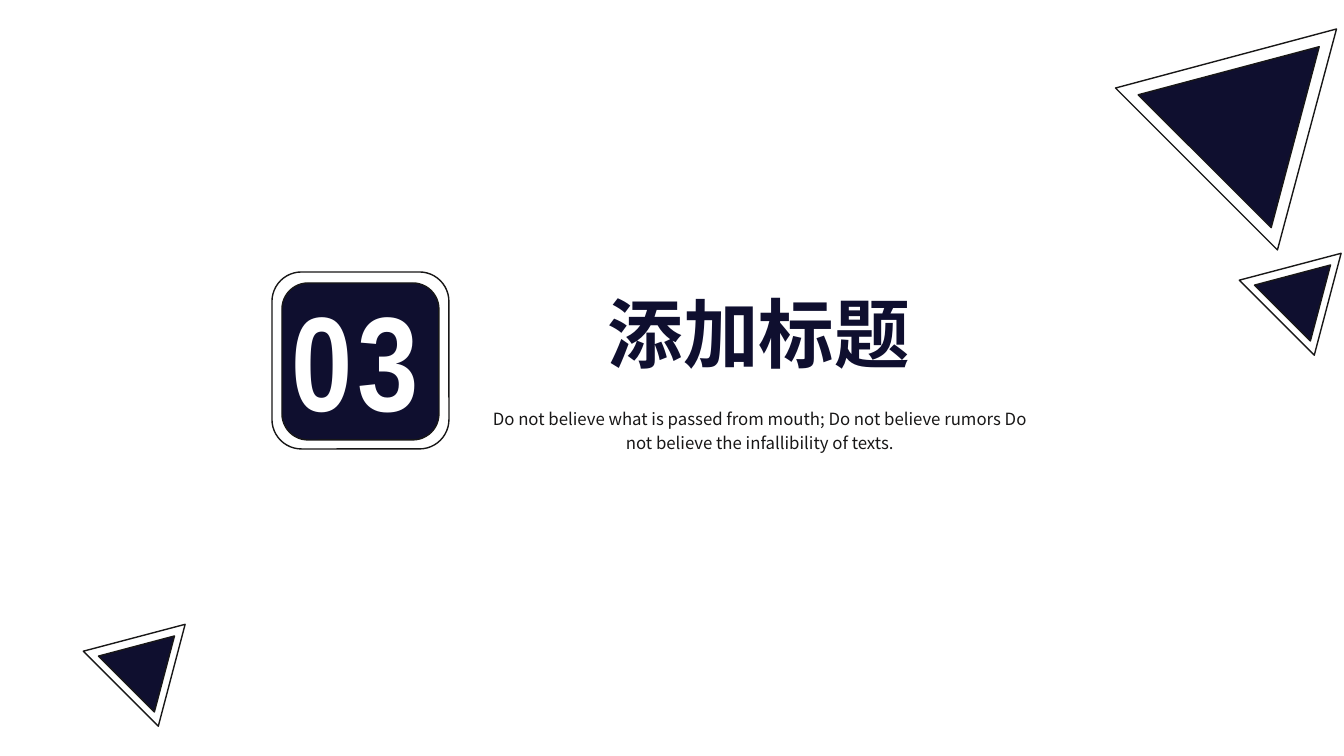
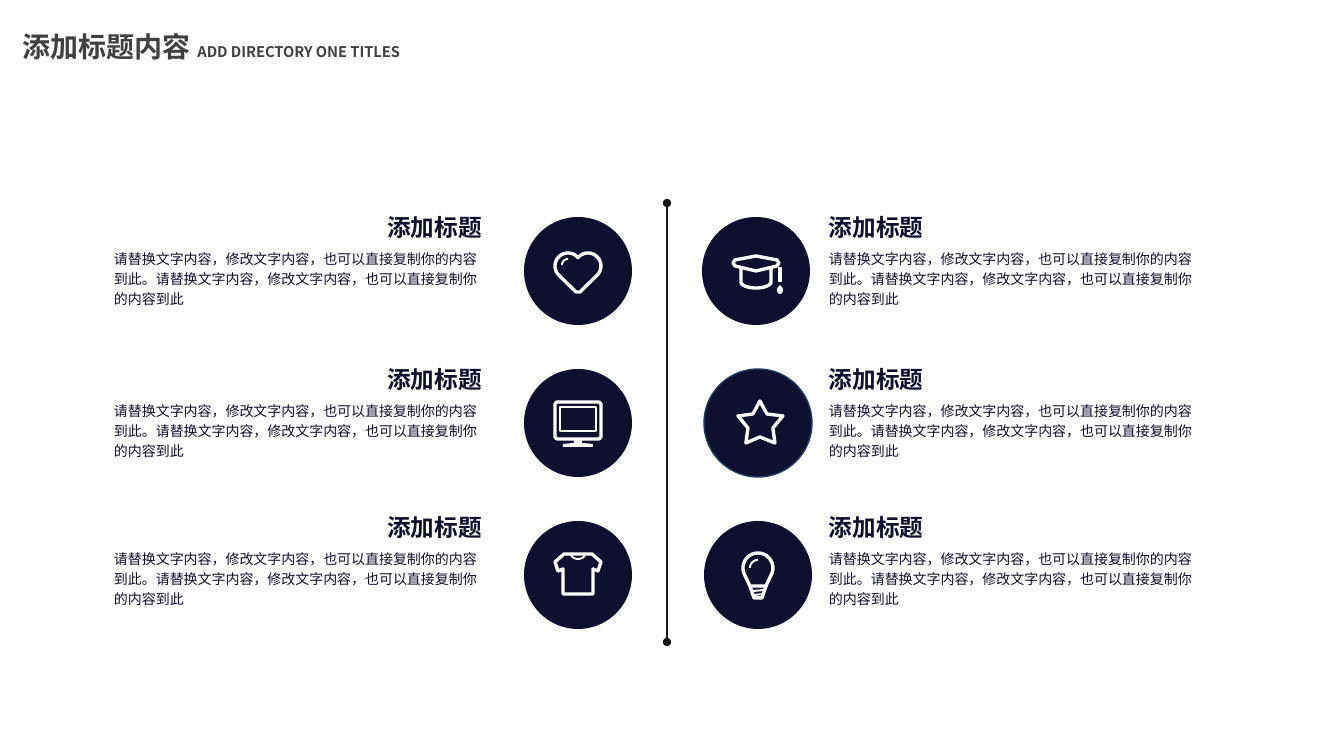
"""Build a section divider slide and a six-item icon slide."""
import math
from dataclasses import dataclass

from lxml import etree
from pptx import Presentation
from pptx import util as u
from pptx.dml.color import RGBColor
from pptx.enum import shapes, text
from pptx.oxml.ns import qn

PX = u.Inches(1) / 100.8


@dataclass(frozen=True)
class Theme:
    navy: str = "0F0F2F"
    ink: str = "181717"
    grey: str = "404040"
    rim: str = "1F3B65"
    white: str = "FFFFFF"
    font: str = "Noto Sans CJK SC"
    number_font: str = "Arial Narrow"
    number: float = 96
    section: float = 54
    header: float = 20
    label: float = 16.9
    caption: float = 12
    subheader: float = 10.5
    body: float = 10
    hairline: float = 1
    axis: float = 1.5


theme = Theme()
LEFT, CENTER, RIGHT = text.PP_ALIGN.LEFT, text.PP_ALIGN.CENTER, text.PP_ALIGN.RIGHT


def paint(shape, fill=None, line=None, width=theme.hairline):
    shape.shadow.inherit = False
    if fill:
        shape.fill.solid()
        shape.fill.fore_color.rgb = RGBColor.from_string(fill)
    else:
        shape.fill.background()
    if line:
        shape.line.color.rgb = RGBColor.from_string(line)
        shape.line.width = u.Pt(width)
    else:
        shape.line.fill.background()


def write(shape, box, runs, color, align=LEFT, bold=False, wrap=True,
          spacing=1.0, inset=10, font=theme.font):
    shape.left, shape.top, shape.width, shape.height = (round(n * PX) for n in box)
    frame = shape.text_frame
    frame.auto_size = text.MSO_AUTO_SIZE.NONE
    frame.vertical_anchor = text.MSO_ANCHOR.TOP
    frame.word_wrap = wrap
    frame.margin_left = frame.margin_right = round(inset * PX)
    frame.margin_top = frame.margin_bottom = round(5 * PX)
    paragraph = frame.paragraphs[0]
    paragraph.alignment = align
    paragraph.line_spacing = spacing
    paragraph.space_before = u.Pt(0)
    for words, size in runs:
        run = paragraph.add_run()
        run.text = words
        run.font.size = u.Pt(size)
        run.font.bold = bold
        run.font.name = font
        run.font.color.rgb = RGBColor.from_string(color)
        properties = run.font._element
        etree.SubElement(properties, qn("a:ea")).set("typeface", font)


presentation = Presentation()
presentation.slide_width = round(1344 * PX)
presentation.slide_height = round(756 * PX)

slide = presentation.slides.add_slide(presentation.slide_layouts[0])
OUTLINED = (None, theme.ink)
FILLED = (theme.navy, theme.ink)
ROUNDED = shapes.MSO_SHAPE.ROUNDED_RECTANGLE
TRIANGLE = shapes.MSO_SHAPE.ISOSCELES_TRIANGLE
decorations = [
    (ROUNDED, (282, 283, 157, 157), FILLED),
    (ROUNDED, (272, 272, 177, 177), OUTLINED),
    (TRIANGLE, (1168, 23, 188, 162), FILLED),
    (TRIANGLE, (1152, 0, 229, 198), OUTLINED),
]
for left, top in [(1256, 240), (100, 611)]:
    decorations += [
        (TRIANGLE, (left + 11, top + 15, 79, 68), FILLED),
        (TRIANGLE, (left, top, 106, 91), OUTLINED),
    ]
for kind, box, look in decorations:
    shape = slide.shapes.add_shape(kind, *(round(n * PX) for n in box))
    shape.rotation = 45 if kind == TRIANGLE else 0
    paint(shape, *look)

number = slide.shapes.add_textbox(0, 0, 0, 0)
write(number, (282, 272, 162, 173), [("03", theme.number)], theme.white,
      bold=True, font=theme.number_font)
number.text_frame.paragraphs[0].runs[0].font._element.set("spc", "300")
write(slide.shapes.title, (596, 282, 326, 102), [("添加标题", theme.section)],
      theme.navy, CENTER, bold=True, wrap=False)
write(slide.placeholders[1], (469, 400, 582, 59),
      [("Do not believe what is passed from mouth; Do not believe rumors "
        "Do not believe the infallibility of texts.", theme.caption)],
      theme.ink, CENTER, spacing=1.2)

slide = presentation.slides.add_slide(presentation.slide_layouts[5])
write(slide.shapes.title, (0, 24, 423, 44),
      [("添加标题内容 ", theme.header), ("ADD DIRECTORY ONE TITLES", theme.subheader)],
      theme.grey, CENTER, bold=True)

DESCRIPTION = "请替换文字内容，修改文字内容，也可以直接复制你的内容到此。" * 2
for label_left, body_left, align in [(376, 103, RIGHT), (818, 818, LEFT)]:
    for top in (208, 360, 508):
        label = slide.shapes.add_textbox(0, 0, 0, 0)
        write(label, (label_left, top, 117, 39), [("添加标题", theme.label)],
              theme.navy, align, bold=True, wrap=False, inset=11)
        body = slide.shapes.add_textbox(0, 0, 0, 0)
        write(body, (body_left, top + 34, 391, 70),
              [(DESCRIPTION.removesuffix("。"), theme.body)],
              theme.navy, spacing=1.2, inset=11)

BOLD, THIN, SOLID = 2.4, 1.4, 0
heart = [
    (BOLD, True, [(-10, -5, 13, 13, 135, 320), (10, -5, 13, 13, 220, 405),
                  (2, 21), (-2, 21)]),
    (THIN, False, [(-10, -6, 6, 6, 180, 270)]),
]
monitor = [
    (BOLD, True, [(-20, -18, 3, 3, 180, 270), (20, -18, 3, 3, 270, 360),
                  (20, 13, 3, 3, 0, 90), (-20, 13, 3, 3, 90, 180)]),
    (THIN, True, [(-18, -16), (18, -16), (18, 8), (-18, 8)]),
    (SOLID, True, [(-4, 17), (4, 17), (4, 20), (15, 21), (15, 24),
                   (-15, 24), (-15, 21), (-4, 20)]),
]
shirt = [
    (BOLD, True, [(-14, -21), (-23, -13), (-20, -4), (-15, -6), (-15, 19),
                  (15, 19), (15, -6), (20, -4), (23, -13), (14, -21)]),
    (THIN, False, [(0, -21, 7, 5, 0, 180)]),
]
cap = [
    (BOLD, True, [(-21, -11), (0, -15), (21, -11), (23, -8), (21, -5),
                  (0, 0), (-21, -5), (-23, -8)]),
    (BOLD, False, [(-15, -4), (0, 11, 15, 6, 180, 0), (15, -4)]),
    (BOLD, False, [(24, -4), (24, 11)]),
    (SOLID, True, [(24, 14), (24, 19, 3, 4, -30, 210)]),
]
star = [
    (BOLD, True, [(2, -22), (9, -9), (25, -7), (15, 5), (17, 20),
                  (2, 14), (-12, 20), (-10, 5), (-20, -7), (-5, -9)]),
]
bulb = [
    (BOLD, True, [(0, -7, 15, 15, 150, 390), (8, 11), (-8, 11)]),
    (BOLD, False, [(-8, 11), (-4, 23), (4, 23), (8, 11)]),
    (THIN, False, [(-5, 16), (6, 15)]),
    (THIN, False, [(-4, 20), (5, 19)]),
    (THIN, False, [(0, -7, 8, 8, 180, 270)]),
]
DIAMETER, FIRST_TOP, PITCH, ARC_STEPS = 108, 217, 152, 20
columns = [
    [(524, heart, None), (524, monitor, None), (524, shirt, None)],
    [(702, cap, None), (704, star, theme.rim), (704, bulb, None)],
]
for column in columns:
    for row, (left, icon, rim) in enumerate(column):
        top = FIRST_TOP + row * PITCH
        circle = slide.shapes.add_shape(
            shapes.MSO_SHAPE.OVAL, *(round(n * PX) for n in (left, top, DIAMETER, DIAMETER)))
        paint(circle, theme.navy, rim)
        center_x, center_y = left + DIAMETER / 2, top + DIAMETER / 2
        for width, closed, parts in icon:
            points = []
            for x, y, *arc in parts:
                if arc:
                    radius_x, radius_y, start, end = arc
                    for step in range(ARC_STEPS + 1):
                        angle = math.radians(start + (end - start) * step / ARC_STEPS)
                        points.append((x + radius_x * math.cos(angle),
                                       y + radius_y * math.sin(angle)))
                else:
                    points.append((x, y))
            vertices = [((center_x + x) * PX, (center_y + y) * PX) for x, y in points]
            builder = slide.shapes.build_freeform(*vertices[0])
            builder.add_line_segments(vertices[1:], close=closed)
            stroke = builder.convert_to_shape()
            if width == SOLID:
                paint(stroke, theme.white)
            else:
                paint(stroke, None, theme.white, width)

axis = slide.shapes.add_connector(
    shapes.MSO_CONNECTOR.STRAIGHT, *(round(n * PX) for n in (667, 203, 667, 642)))
axis.line.color.rgb = RGBColor.from_string(theme.ink)
axis.line.width = u.Pt(theme.axis)
properties = axis._element.spPr
for end in ("a:headEnd", "a:tailEnd"):
    etree.SubElement(properties.find(qn("a:ln")), qn(end)).set("type", "oval")
etree.SubElement(properties, qn("a:effectLst"))

presentation.save("out.pptx")
